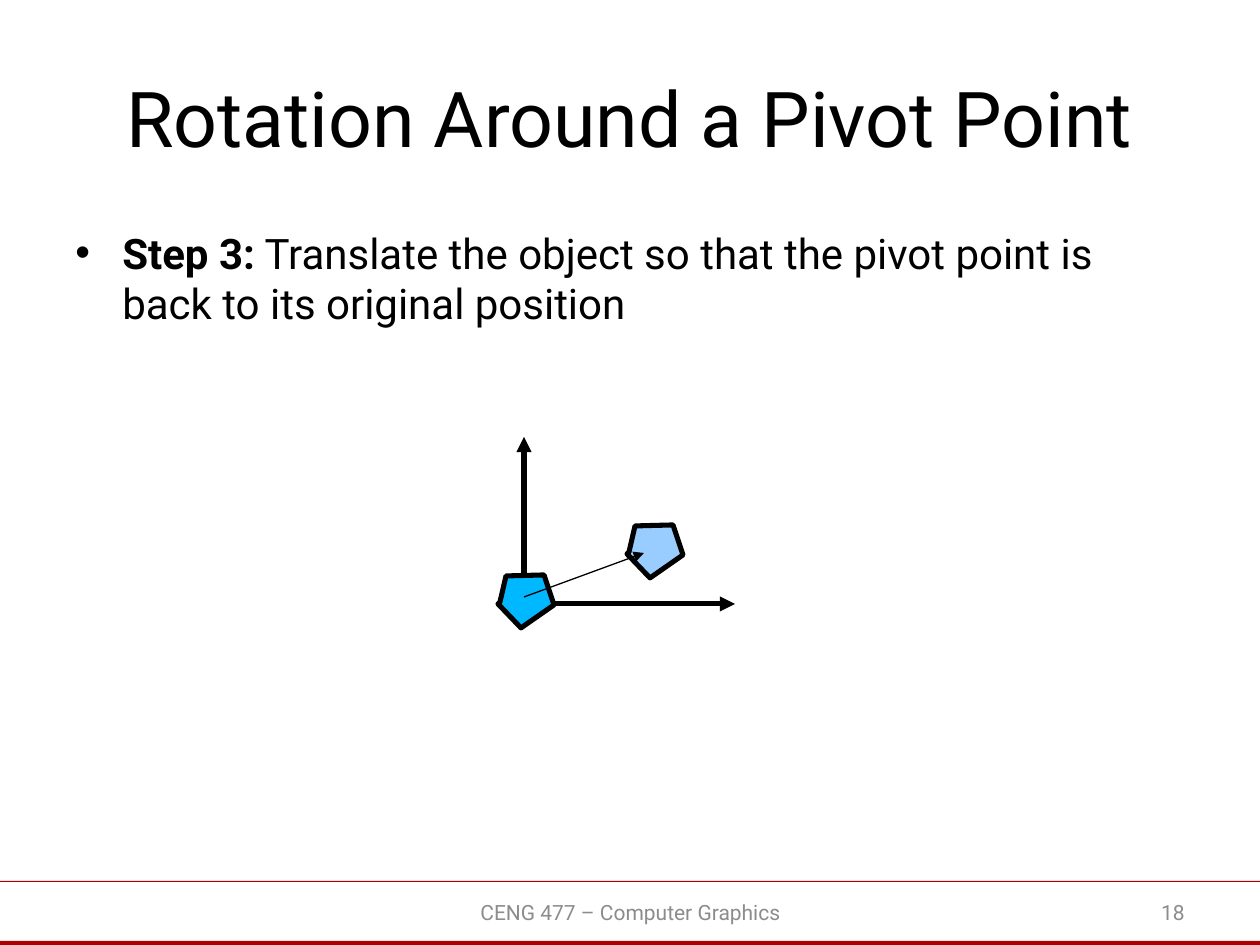
"""Build a slide on the last step of rotating an object around a pivot point."""
from dataclasses import dataclass

from lxml import etree
from pptx import Presentation
from pptx.dml.color import RGBColor
from pptx.enum.shapes import MSO_CONNECTOR, MSO_SHAPE
from pptx.enum.text import MSO_ANCHOR, PP_ALIGN
from pptx.oxml.ns import qn
from pptx.util import Emu, Pt

STRAIGHT = MSO_CONNECTOR.STRAIGHT
RECTANGLE = MSO_SHAPE.RECTANGLE
TOP, MIDDLE = MSO_ANCHOR.TOP, MSO_ANCHOR.MIDDLE
LEFT, CENTER, RIGHT = PP_ALIGN.LEFT, PP_ALIGN.CENTER, PP_ALIGN.RIGHT

EMU_PER_PX = 914400 / 126
FONT = "Roboto"
BLACK, GREY, RED = "000000", "8C8C8C", "AD0101"
OUTLINE_PT = 2.89
PENTAGON = ((0, 29), (23, 53), (56, 30), (46, 0), (8, 1), (2, 27))
AXES = ((524, 437), (524, 604), (735, 604))


@dataclass(frozen=True)
class Box:
    left: int
    top: int
    width: int
    height: int


@dataclass(frozen=True)
class Run:
    text: str
    size: int
    color: str = BLACK
    bold: bool = False


@dataclass(frozen=True)
class Label:
    box: Box
    run: Run
    align: PP_ALIGN


@dataclass(frozen=True)
class Pentagon:
    left: int
    top: int
    fill: str


RULES = (Box(0, 881, 1260, 1), Box(0, 941, 1260, 4))
PENTAGONS = (Pentagon(627, 525, "99CCFF"), Pentagon(498, 575, "00B8FF"))
FOOTERS = (
    Label(Box(431, 887, 399, 50), Run("CENG 477 – Computer Graphics", 12, GREY), CENTER),
    Label(Box(903, 887, 294, 50), Run("18", 12, GREY), RIGHT),
)
STEP = (
    Run("Step 3:", 24, bold=True),
    Run(" Translate the object so that the pivot point is back to its original position", 24),
)


def px(length: int) -> Emu:
    """Convert pixels to EMU."""
    return Emu(round(length * EMU_PER_PX))


def rgb(color: str) -> RGBColor:
    """Turn a hex string into a colour."""
    return RGBColor.from_string(color)


def place(box: Box) -> tuple[Emu, Emu, Emu, Emu]:
    """Give the box as EMU lengths."""
    return px(box.left), px(box.top), px(box.width), px(box.height)


def write(frame, runs: tuple[Run, ...], align: PP_ALIGN, anchor: MSO_ANCHOR):
    """Fill a text frame with one paragraph and return it."""
    frame.word_wrap = True
    frame.vertical_anchor = anchor
    paragraph = frame.paragraphs[0]
    paragraph.alignment = align
    for item in runs:
        run = paragraph.add_run()
        run.text = item.text
        run.font.name = FONT
        run.font.size = Pt(item.size)
        run.font.bold = item.bold
        run.font.color.rgb = rgb(item.color)
    return paragraph


def add_text(slide, box: Box, runs: tuple[Run, ...], align: PP_ALIGN, anchor: MSO_ANCHOR):
    """Add a text box and return its paragraph."""
    return write(slide.shapes.add_textbox(*place(box)).text_frame, runs, align, anchor)


def add_bullet(paragraph, indent: int) -> None:
    """Give the paragraph a hanging bullet."""
    properties = paragraph._p.get_or_add_pPr()
    properties.set("marL", str(px(indent)))
    properties.set("indent", str(-px(indent)))
    etree.SubElement(properties, qn("a:buFont"), typeface="Arial")
    etree.SubElement(properties, qn("a:buChar"), char="•")


def add_arrowheads(line, *ends: str) -> None:
    """Put triangles on the named ends of a line."""
    for end in ends:
        etree.SubElement(line._get_or_add_ln(), qn(f"a:{end}"), type="triangle")


def add_rule(slide, box: Box) -> None:
    """Add a red rule across the slide."""
    rule = slide.shapes.add_shape(RECTANGLE, *place(box))
    rule.shadow.inherit = False
    rule.fill.solid()
    rule.fill.fore_color.rgb = rgb(RED)
    rule.line.fill.background()


def add_outline(slide, points, closed: bool):
    """Add a black freeform through the points."""
    builder = slide.shapes.build_freeform(*points[0], scale=EMU_PER_PX)
    builder.add_line_segments(points[1:], close=closed)
    outline = builder.convert_to_shape()
    outline.shadow.inherit = False
    outline.fill.background()
    outline.line.color.rgb = rgb(BLACK)
    outline.line.width = Pt(OUTLINE_PT)
    return outline


def add_pentagon(slide, pentagon: Pentagon) -> None:
    """Add one position of the object."""
    corners = [(pentagon.left + x, pentagon.top + y) for x, y in PENTAGON]
    outline = add_outline(slide, corners, closed=True)
    outline.fill.solid()
    outline.fill.fore_color.rgb = rgb(pentagon.fill)


def add_translation(slide) -> None:
    """Add the arrow that points from the origin to the pivot."""
    arrow = slide.shapes.add_connector(STRAIGHT, px(644), px(553), px(524), px(597))
    arrow.line.color.rgb = rgb(BLACK)
    arrow.line.width = Pt(0.75)
    add_arrowheads(arrow.line, "headEnd")
    etree.SubElement(arrow._element.spPr, qn("a:effectLst"))


def main() -> None:
    """Build and save the slide."""
    deck = Presentation()
    deck.slide_width, deck.slide_height = px(1260), px(945)
    slide = deck.slides.add_slide(deck.slide_layouts[5])
    for rule in RULES:
        add_rule(slide, rule)

    title = slide.shapes.title
    title.left, title.top, title.width, title.height = place(Box(63, 38, 1134, 157))
    write(title.text_frame, (Run("Rotation Around a Pivot Point", 44),), CENTER, MIDDLE)
    step = add_text(slide, Box(63, 221, 1134, 624), STEP, LEFT, TOP)
    add_bullet(step, 47)

    axes = add_outline(slide, AXES, closed=False)
    add_arrowheads(axes.line, "headEnd", "tailEnd")
    for pentagon in PENTAGONS:
        add_pentagon(slide, pentagon)
    add_translation(slide)

    for footer in FOOTERS:
        add_text(slide, footer.box, (footer.run,), footer.align, MIDDLE)
    deck.save("out.pptx")


if __name__ == "__main__":
    main()
